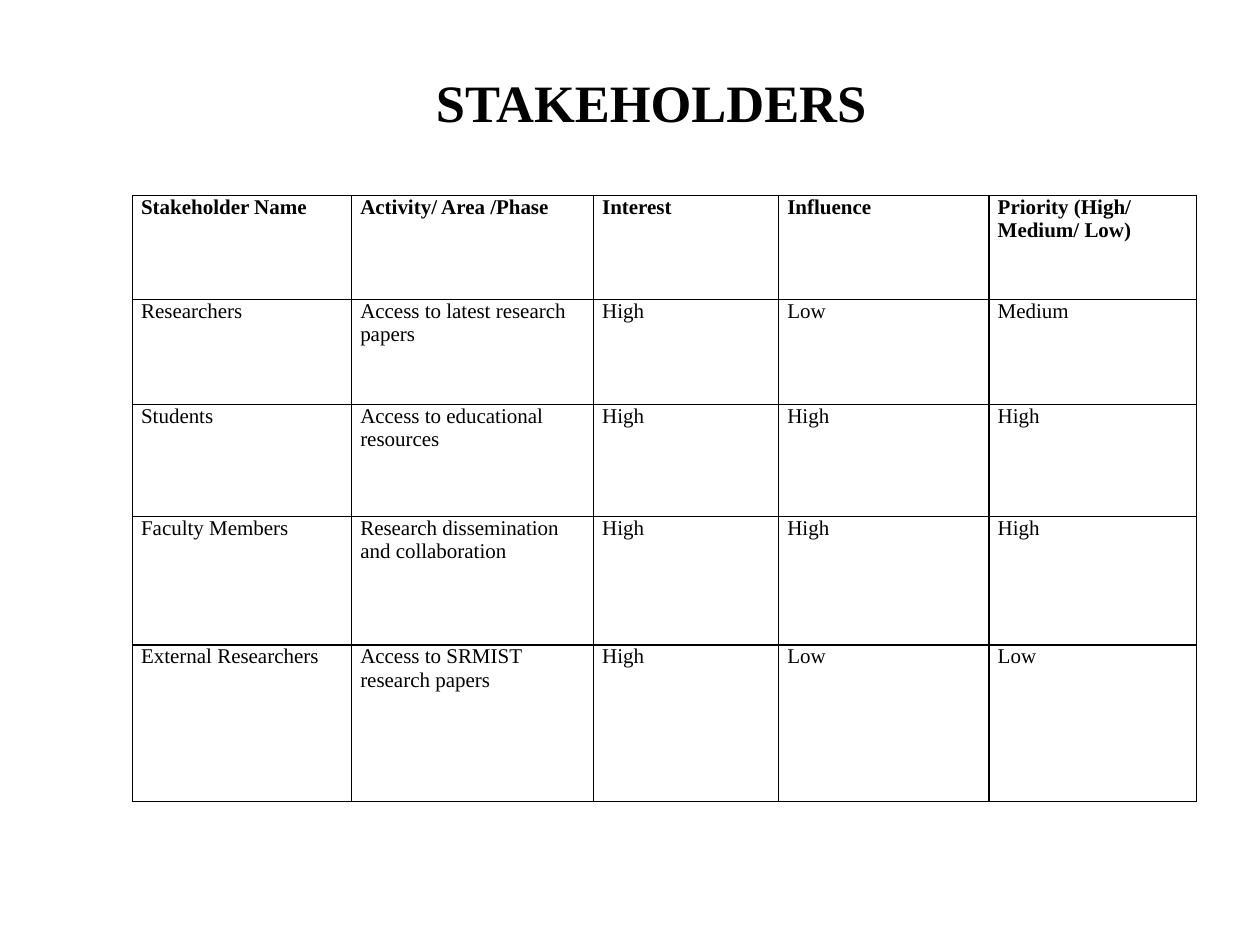
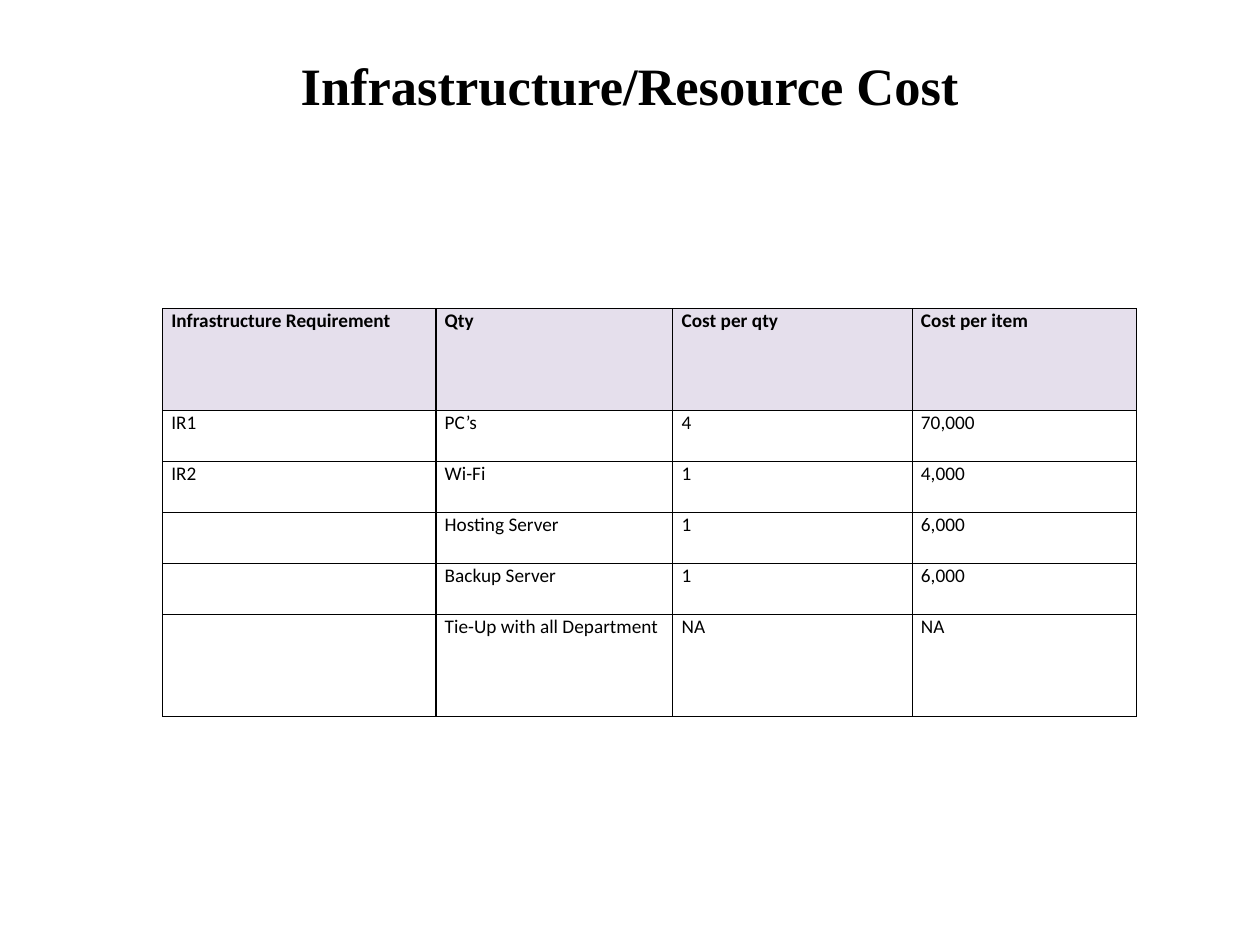
from pptx import Presentation
from pptx.dml.color import RGBColor as Rgb
from pptx.enum.text import MSO_ANCHOR as Anchor, MSO_AUTO_SIZE as Fit, PP_ALIGN as Align
from pptx.oxml.ns import qn
from pptx.util import Inches, Pt
from lxml.etree import SubElement as Sub

INK, PAPER, LILAC = "000000", "FFFFFF", "E5DFEC"
SERIF, SANS = "Times New Roman", "Calibri"
COLS, ROWS = 100, 75
EDGE = 0.75

ROLES = [
    ["Stakeholder Name", "Activity/ Area /Phase", "Interest", "Influence",
     "Priority (High/ Medium/ Low)"],
    ["Researchers", "Access to latest research papers", "High", "Low", "Medium"],
    ["Students", "Access to educational resources", "High", "High", "High"],
    ["Faculty Members", "Research dissemination and collaboration", "High", "High", "High"],
    ["External Researchers", "Access to SRMIST research papers", "High", "Low", "Low"],
]
COSTS = [
    ["Infrastructure Requirement", "Qty", "Cost per qty", "Cost per item"],
    ["IR1", "PC’s", "4", "70,000"],
    ["IR2", "Wi-Fi", "1", "4,000"],
    ["", "Hosting Server", "1", "6,000"],
    ["", "Backup Server", "1", "6,000"],
    ["", "Tie-Up with all Department", "NA", "NA"],
]


def grid(count):
    """Turn a number of grid units, a tenth of an inch each, into a length."""
    return Inches(count / 10)


def tint(code):
    """Turn a hex string into a colour."""
    return Rgb.from_string(code)


def style(frame, face, size, bold):
    """Format every run of a text frame."""
    for para in frame.paragraphs:
        for run in para.runs:
            font = run.font
            font.name, font.size, font.bold = face, Pt(size), bold
            font.color.rgb = tint(INK)


def head(slide, text, box):
    """Place and format the slide title."""
    title = slide.shapes.title
    title.left, title.top, title.width, title.height = map(grid, box)
    frame = title.text_frame
    frame.text = text
    frame.auto_size = Fit.NONE
    frame.vertical_anchor = Anchor.MIDDLE
    frame.paragraphs[0].alignment = Align.CENTER
    style(frame, SERIF, 30, True)


def frame_cell(cell):
    """Draw the four borders of a cell."""
    props = cell._tc.get_or_add_tcPr()
    for side in ("lnL", "lnR", "lnT", "lnB"):
        line = Sub(props, qn("a:" + side), w=str(Pt(EDGE)))
        fill = Sub(line, qn("a:solidFill"))
        Sub(fill, qn("a:srgbClr"), val=INK)


def fill_cell(cell, text, face, size, bold, shade):
    """Write, format, border and shade one cell."""
    cell.margin_left = cell.margin_right = Inches(0.07)
    cell.margin_top = cell.margin_bottom = 0
    cell.text_frame.text = text
    style(cell.text_frame, face, size, bold)
    frame_cell(cell)
    cell.fill.solid()
    cell.fill.fore_color.rgb = tint(shade)


def sheet(slide, data, spot, wide, high, face, size, shade):
    """Add a ruled table with a bold header row."""
    left, top = spot
    area = map(grid, (left, top, sum(wide), sum(high)))
    table = slide.shapes.add_table(len(high), len(wide), *area).table
    table.first_row = table.horz_banding = False
    for col, width in zip(table.columns, wide):
        col.width = grid(width)
    for row, height, texts in zip(table.rows, high, data):
        row.height = grid(height)
        top_row = texts is data[0]
        for cell, text in zip(row.cells, texts):
            fill_cell(cell, text, face, size, top_row, shade if top_row else PAPER)


def main():
    """Build both slides and save them."""
    deck = Presentation()
    deck.slide_width, deck.slide_height = grid(COLS), grid(ROWS)
    plain = deck.slide_layouts[5]

    slide = deck.slides.add_slide(plain)
    head(slide, "STAKEHOLDERS", (6.7, 1.8, 90, 12.5))
    sheet(slide, ROLES, (10.5, 15.5), (17.4, 19.2, 14.7, 16.7, 16.5),
          (8.3, 8.3, 8.9, 10.2, 12.4), SERIF, 12, PAPER)

    slide = deck.slides.add_slide(plain)
    head(slide, "Infrastructure/Resource Cost", (0, 4.2, COLS, 5))
    short = 4.05
    sheet(slide, COSTS, (12.9, 24.5), (21.7, 18.8, 19, 17.8),
          (2 * short, *[short] * 4, 2 * short), SANS, 11, LILAC)

    deck.save("out.pptx")


if __name__ == "__main__":
    main()
